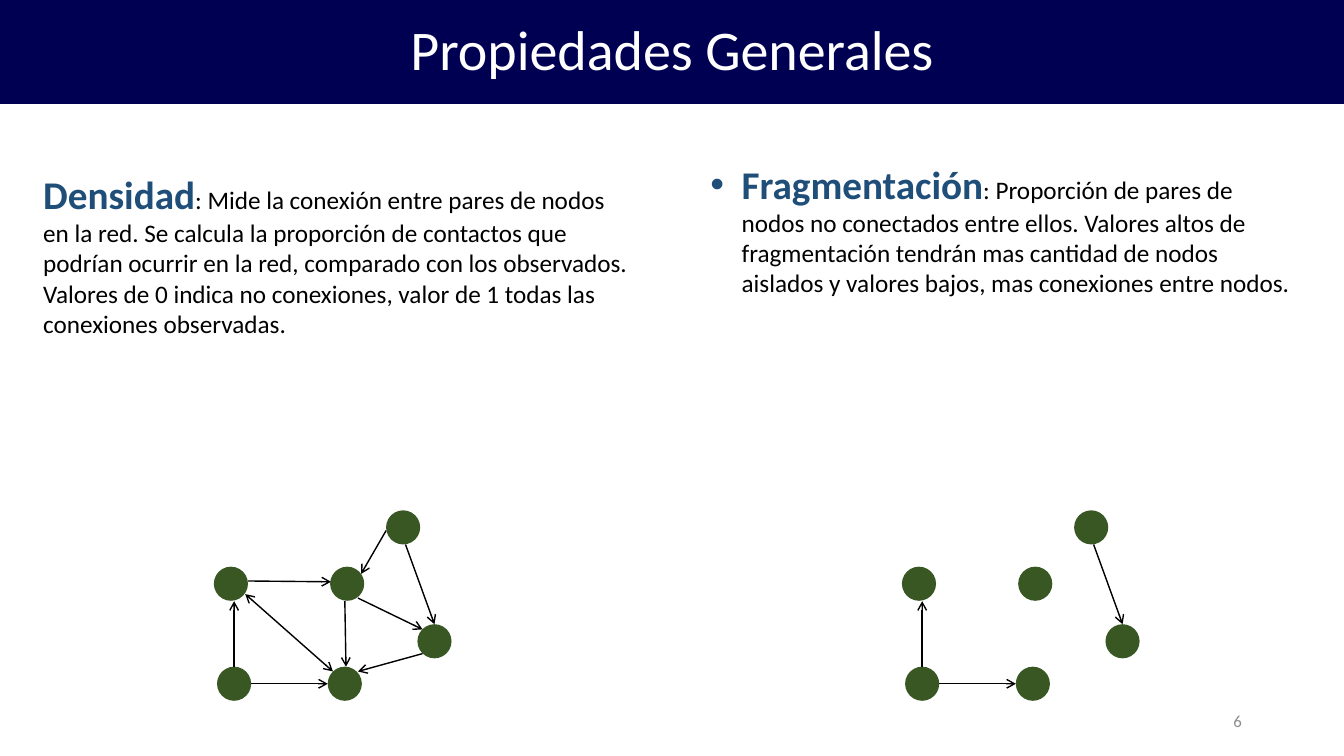
from lxml import etree
from pptx import Presentation
from pptx.dml.color import RGBColor
from pptx.enum.shapes import MSO_CONNECTOR, MSO_SHAPE
from pptx.enum.text import MSO_ANCHOR, PP_ALIGN
from pptx.oxml.ns import qn
from pptx.util import Cm, Pt

STRAIGHT = MSO_CONNECTOR.STRAIGHT
RECTANGLE = MSO_SHAPE.RECTANGLE
OVAL = MSO_SHAPE.OVAL
MIDDLE = MSO_ANCHOR.MIDDLE
CENTER = PP_ALIGN.CENTER
RIGHT = PP_ALIGN.RIGHT

WIDTH, HEIGHT = 33.87, 19.05
FONT = "Calibri"
NAVY, BLUE, GREEN = "000053", "1F4E79", "385723"
BLACK, WHITE, GRAY = "000000", "FFFFFF", "8C8C8C"

# All positions below are in centimetres from the corner of a network.
NODE_SIZE = 0.86
NODES = [(0, 1.42), (2.93, 1.42), (4.34, 0), (5.13, 2.87), (0.08, 3.94), (2.87, 3.94)]
SPARSE_ARROWS = [
    ((0.51, 3.94), (0.51, 2.29)),
    ((0.94, 4.37), (2.87, 4.37)),
    ((4.83, 0.86), (5.56, 2.87)),
]
DENSE_ARROWS = SPARSE_ARROWS + [
    ((0.86, 1.78), (2.95, 1.8)),
    ((3.3, 2.29), (3.33, 3.94)),
    ((3.63, 2.21), (5.26, 3)),
    ((4.34, 0.51), (3.71, 1.6)),
    ((5.26, 3.61), (3.63, 4.06)),
]
TWO_WAY_ARROWS = [((3, 4.06), (0.79, 2.11))]

DENSITY = (
    ": Mide la conexión entre pares de nodos en la red. Se calcula la proporción de "
    "contactos que podrían ocurrir en la red, comparado con los observados. Valores de 0 "
    "indica no conexiones, valor de 1 todas las conexiones observadas."
)
FRAGMENTATION = (
    ": Proporción de pares de nodos no conectados entre ellos. Valores altos de "
    "fragmentación tendrán mas cantidad de nodos aislados y valores bajos, mas conexiones "
    "entre nodos."
)


def color(value):
    return RGBColor.from_string(value)


def add_run(paragraph, text, size, fill=BLACK, bold=False):
    run = paragraph.add_run()
    run.text = text
    run.font.name = FONT
    run.font.size = Pt(size)
    run.font.bold = bold
    run.font.color.rgb = color(fill)


def add_filled_shape(slide, kind, left, top, width, height, fill):
    shape = slide.shapes.add_shape(kind, Cm(left), Cm(top), Cm(width), Cm(height))
    shape.shadow.inherit = False
    shape.fill.solid()
    shape.fill.fore_color.rgb = color(fill)
    shape.line.fill.background()
    return shape


def add_text_box(slide, left, top, width, height):
    box = slide.shapes.add_textbox(Cm(left), Cm(top), Cm(width), Cm(height))
    box.text_frame.word_wrap = True
    return box.text_frame


def add_bullet(paragraph, indent):
    properties = paragraph._p.get_or_add_pPr()
    properties.set("marL", str(Cm(indent)))
    properties.set("indent", str(-Cm(indent)))
    font = etree.SubElement(properties, qn("a:buFont"))
    font.set("typeface", "Arial")
    bullet = etree.SubElement(properties, qn("a:buChar"))
    bullet.set("char", "•")


def add_arrow(slide, start, end, two_way=False):
    x1, y1, x2, y2 = (Cm(value) for value in (*start, *end))
    connector = slide.shapes.add_connector(STRAIGHT, x1, y1, x2, y2)
    connector.line.width = Pt(1)
    connector.line.color.rgb = color(BLACK)
    line = connector.line._get_or_add_ln()
    for tag in ("a:headEnd", "a:tailEnd") if two_way else ("a:tailEnd",):
        etree.SubElement(line, qn(tag)).set("type", "arrow")
    etree.SubElement(connector._element.spPr, qn("a:effectLst"))


def add_title_band(slide, left, top, width, height, text):
    band = add_filled_shape(slide, RECTANGLE, left, top, width, height, NAVY)
    band.text_frame.vertical_anchor = MIDDLE
    paragraph = band.text_frame.paragraphs[0]
    paragraph.alignment = CENTER
    paragraph.line_spacing = 0.9
    add_run(paragraph, text, 40, WHITE)


def add_definition(slide, left, top, width, height, term, text, bulleted=False):
    paragraph = add_text_box(slide, left, top, width, height).paragraphs[0]
    if bulleted:
        add_bullet(paragraph, 0.79)
    add_run(paragraph, term, 28, BLUE, bold=True)
    add_run(paragraph, text, 18)


def add_network(slide, left, top, arrows, two_way_arrows=()):
    """Draw the six nodes and the given arrows from the corner (left, top)."""
    for x, y in NODES:
        add_filled_shape(slide, OVAL, left + x, top + y, NODE_SIZE, NODE_SIZE, GREEN)
    for group, two_way in ((arrows, False), (two_way_arrows, True)):
        for ends in group:
            start, end = ((left + x, top + y) for x, y in ends)
            add_arrow(slide, start, end, two_way)


def add_page_number(slide, left, top, width, height, number):
    frame = add_text_box(slide, left, top, width, height)
    frame.vertical_anchor = MIDDLE
    paragraph = frame.paragraphs[0]
    paragraph.alignment = RIGHT
    add_run(paragraph, number, 12, GRAY)


def main():
    presentation = Presentation()
    presentation.slide_width = Cm(WIDTH)
    presentation.slide_height = Cm(HEIGHT)
    slide = presentation.slides.add_slide(presentation.slide_layouts[6])

    add_title_band(slide, 0, 0, WIDTH, 2.62, "Propiedades Generales")
    add_definition(slide, 0.84, 4.17, 15.37, 4.52, "Densidad", DENSITY)
    add_definition(
        slide, 17.65, 3.91, 15.37, 3.76, "Fragmentación", FRAGMENTATION, bulleted=True
    )
    add_network(slide, 5.39, 12.86, DENSE_ARROWS, TWO_WAY_ARROWS)
    add_network(slide, 22.73, 12.86, SPARSE_ARROWS)
    add_page_number(slide, 23.93, 17.65, 7.62, 1.02, "6")

    presentation.save("out.pptx")


if __name__ == "__main__":
    main()
